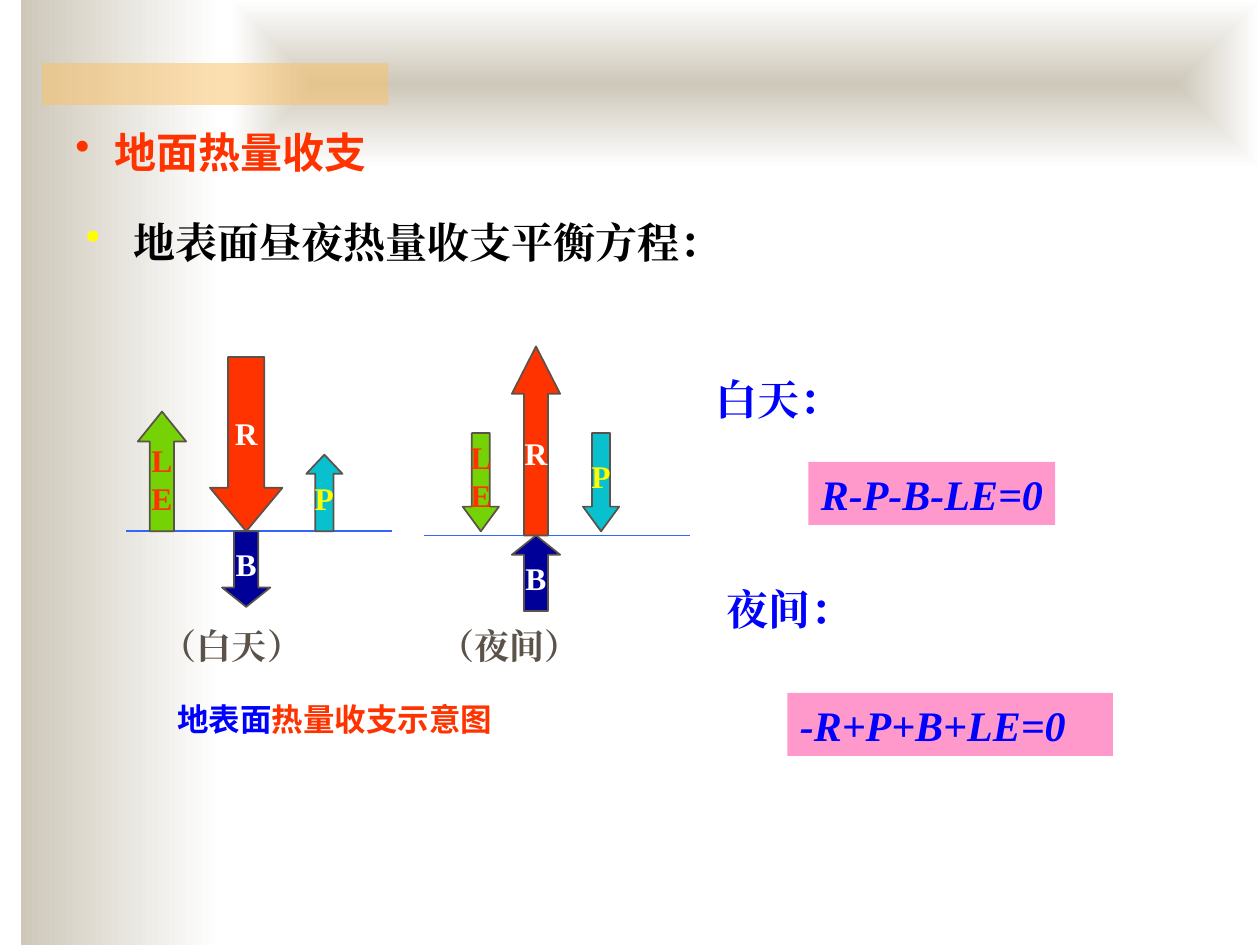
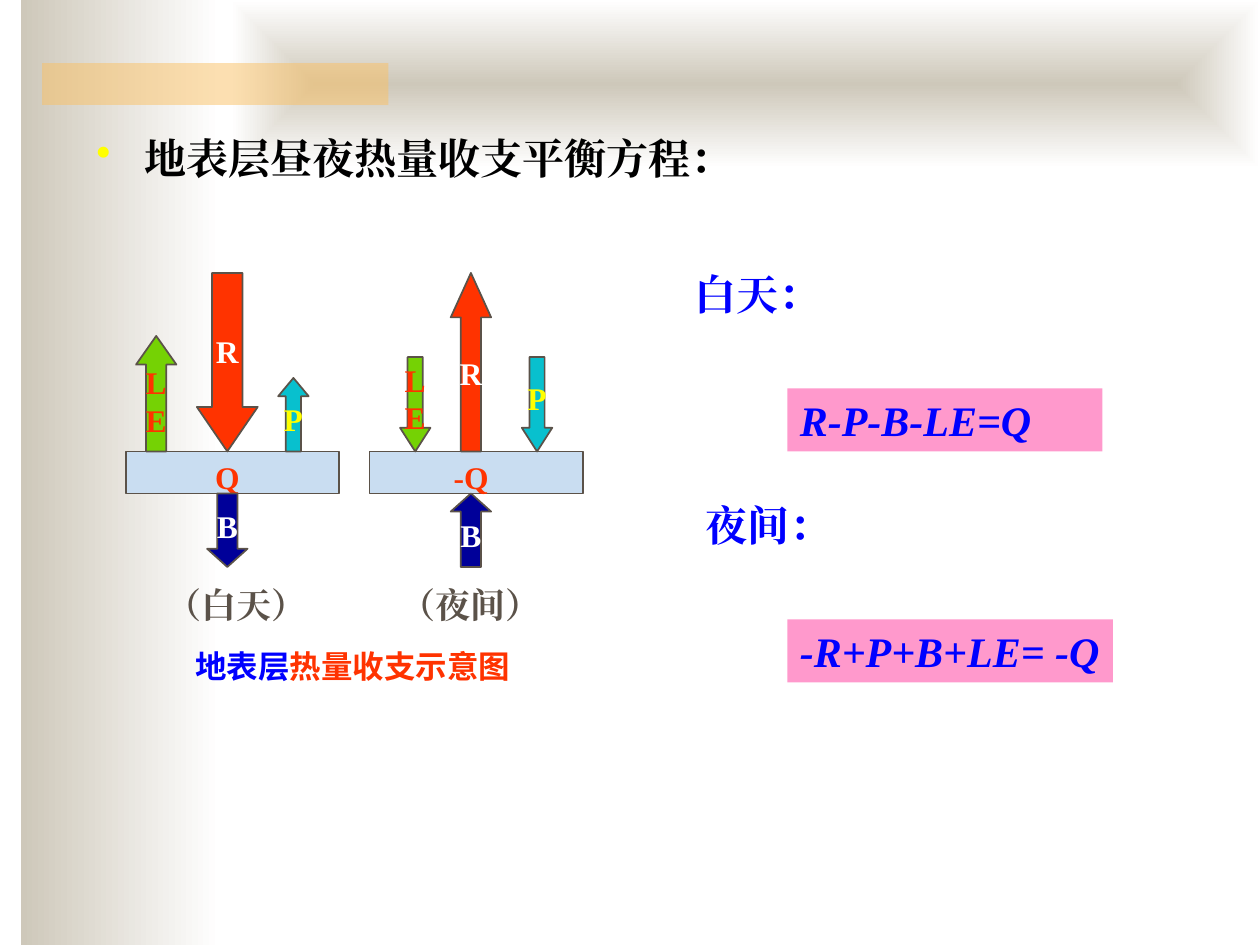
from dataclasses import dataclass

from lxml.etree import SubElement
from pptx import Presentation
from pptx.dml.color import RGBColor as Color
from pptx.enum.shapes import MSO_CONNECTOR as Connector, MSO_SHAPE as Shape
from pptx.enum.text import MSO_ANCHOR as Anchor, PP_ALIGN as Align
from pptx.oxml.ns import qn
from pptx.util import Inches, Pt

COLUMNS = 120
UNIT = Inches(10) / COLUMNS


@dataclass(frozen=True)
class Theme:
    latin: str = "Times New Roman"
    hans: str = "Noto Sans CJK SC"
    body: int = 24
    label: int = 20
    small: int = 18
    sand: str = "CEC8BA"
    amber: str = "FAC164"
    outline: str = "5B5249"
    ground: str = "3366FF"
    layer: str = "C9DDF1"
    red: str = "FF3300"
    green: str = "75D204"
    cyan: str = "08C0CE"
    navy: str = "000099"
    blue: str = "0000FF"
    yellow: str = "FFFF00"
    pink: str = "FF99CC"
    white: str = "FFFFFF"
    black: str = "000000"


THEME = Theme()
FLUXES = {
    "R": (THEME.red, THEME.white),
    "LE": (THEME.green, THEME.red),
    "P": (THEME.cyan, THEME.yellow),
    "B": (THEME.navy, THEME.white),
}


def grid(*cells):
    return [round(cell * UNIT) for cell in cells]


def paint(fill, color):
    fill.solid()
    fill.fore_color.rgb = Color.from_string(color)


def add_panel(page, kind, area, fill=None, line=None):
    panel = page.shapes.add_shape(kind, *grid(*area))
    panel.shadow.inherit = False
    if fill:
        paint(panel.fill, fill)
    if line:
        panel.line.color.rgb = Color.from_string(line)
        panel.line.width = Pt(1)
    else:
        panel.line.fill.background()
    return panel


def write(box, *lines, size=THEME.body, font=THEME.latin, color=THEME.blue, italic=False,
          align=Align.LEFT, anchor=Anchor.TOP, wrap=True, insets=(0.1, 0.05, 0.1, 0.05),
          bullet=None, hang=0, spacing=None):
    frame = box.text_frame
    frame.word_wrap = wrap
    frame.vertical_anchor = anchor
    frame.margin_left, frame.margin_top, frame.margin_right, frame.margin_bottom = map(Inches, insets)
    for index, line in enumerate(lines):
        para = frame.add_paragraph() if index else frame.paragraphs[0]
        para.alignment = align
        if spacing:
            para.line_spacing = spacing
        if bullet:
            add_bullet(para, bullet, hang)
        for words, ink in [(line, color)] if isinstance(line, str) else line:
            span = para.add_run()
            span.text = words
            span.font.size = Pt(size)
            span.font.bold = True
            span.font.italic = italic
            span.font.name = font
            span.font.color.rgb = Color.from_string(ink)
            SubElement(span.font._element, qn("a:ea"), typeface=font)


def add_bullet(para, color, hang):
    props = para._p.get_or_add_pPr()
    props.set("marL", str(Inches(hang)))
    props.set("indent", str(-Inches(hang)))
    SubElement(SubElement(props, qn("a:buClr")), qn("a:srgbClr"), val=color)
    SubElement(props, qn("a:buChar"), char="•")


def add_text(page, area, *lines, **style):
    box = page.shapes.add_textbox(*grid(*area))
    write(box, *lines, **style)


def fade(panel, start, end):
    panel.fill.gradient()
    panel.fill.gradient_angle = 0
    for stop, color, position in zip(panel.fill.gradient_stops, (start, end), (0, 1)):
        stop.color.rgb = Color.from_string(color)
        stop.position = position


def fade_from_center(panel):
    gradient = panel._element.spPr.find(qn("a:gradFill"))
    gradient.remove(gradient.find(qn("a:lin")))
    path = SubElement(gradient, qn("a:path"), path="rect")
    SubElement(path, qn("a:fillToRect"), l="50000", t="50000", r="50000", b="50000")


def decorate(layout, page):
    side = add_panel(page, Shape.RECTANGLE, (2, 0, 19, 90))
    top = add_panel(page, Shape.RECTANGLE, (22, 0, 98, 16))
    for band in (side, top):
        fade(band, THEME.sand, THEME.white)
    fade_from_center(top)
    strip = add_panel(page, Shape.RECTANGLE, (4, 6, 33, 4), THEME.amber)
    tint = next(strip._element.spPr.iter(qn("a:srgbClr")))
    SubElement(tint, qn("a:alpha"), val="50000")
    for band in (side, top, strip):
        layout.shapes._spTree.append(band._element)


def add_flux(page, name, points, center, top, width, height, head):
    fill, ink = FLUXES[name]
    kind = Shape.UP_ARROW if points == "up" else Shape.DOWN_ARROW
    arrow = add_panel(page, kind, (center - width / 2, top, width, height), fill, THEME.outline)
    arrow.adjustments[0] = 0.5
    arrow.adjustments[1] = head
    write(arrow, *name, size=THEME.small, color=ink, align=Align.CENTER,
          anchor=Anchor.MIDDLE, wrap=False)


def add_fluxes(page, fluxes):
    for flux in fluxes:
        add_flux(page, *flux)


def add_ground(page, left, level):
    x1, y, x2 = grid(left, level, left + 25.3)
    line = page.shapes.add_connector(Connector.STRAIGHT, x1, y, x2, y)
    line.line.color.rgb = Color.from_string(THEME.ground)
    line.line.width = Pt(1)
    SubElement(line._element.spPr, qn("a:effectLst"))


def add_layer(page, left, name):
    layer = add_panel(page, Shape.RECTANGLE, (left, 43, 20.3, 4), THEME.layer, THEME.outline)
    write(layer, name, size=THEME.small, color=THEME.red, align=Align.CENTER,
          anchor=Anchor.MIDDLE, insets=(0.1, 0.12, 0.18, 0.05))


def add_captions(page, top, day, night):
    for words, center in (("（白天）", day), ("（夜间）", night)):
        add_text(page, (center - 10, top, 20, 5.3), words, size=THEME.label,
                 color=THEME.outline, align=Align.CENTER)


def add_figure_title(page, center, top, subject):
    add_text(page, (center - 20, top, 40, 4.8),
             [(subject, THEME.blue), ("热量收支示意图", THEME.red)],
             size=THEME.small, font=THEME.hans, align=Align.CENTER)


def add_equation(page, label, label_at, formula, left, top, width):
    add_text(page, (*label_at, 18, 6), label)
    plate = add_panel(page, Shape.RECTANGLE, (left, top, width, 6), THEME.pink)
    write(plate, formula, italic=True, insets=(0.1, 0.05, 0, 0.05))


def add_topic(page, left, top, words):
    add_text(page, (left, top, 75, 6), words, color=THEME.black, bullet=THEME.yellow, hang=0.38)


def build_surface(page):
    add_text(page, (6, 10, 38, 7.4), "地面热量收支", font=THEME.hans, color=THEME.red,
             bullet=THEME.red, hang=0.31, spacing=1.3)
    add_topic(page, 7, 20, "地表面昼夜热量收支平衡方程：")
    add_ground(page, 12, 50.6)
    add_ground(page, 40.4, 51)
    add_fluxes(page, [
        ("R", "down", 23.45, 34, 6.9, 16.6, 0.6),
        ("LE", "up", 15.43, 39.2, 4.6, 11.4, 0.62),
        ("P", "up", 30.9, 43.3, 3.45, 7.3, 0.53),
        ("B", "down", 23.45, 50.6, 4.6, 7.2, 0.4),
        ("R", "up", 51.05, 33, 4.6, 18, 0.98),
        ("LE", "down", 45.8, 41.25, 3.45, 9.35, 0.68),
        ("P", "down", 57.25, 41.25, 3.45, 9.35, 0.68),
        ("B", "up", 51.05, 51, 4.6, 7.2, 0.4),
    ])
    add_captions(page, 58.9, 22.1, 48.5)
    add_figure_title(page, 31.9, 66.1, "地表面")
    add_equation(page, "白天：", (67, 35), "R-P-B-LE=0", 77, 44, 23.5)
    add_equation(page, "夜间：", (68, 55), "-R+P+B+LE=0", 75, 66, 31)


def build_layer(page):
    add_topic(page, 8, 12, "地表层昼夜热量收支平衡方程：")
    add_layer(page, 12, "Q")
    add_layer(page, 35.2, "-Q")
    add_fluxes(page, [
        ("R", "down", 21.65, 26, 5.8, 17, 0.73),
        ("LE", "up", 14.88, 32, 3.85, 11, 0.71),
        ("P", "up", 27.95, 36, 2.9, 7, 0.6),
        ("B", "down", 21.65, 47, 3.85, 7, 0.45),
        ("LE", "down", 39.55, 34, 2.9, 9, 0.78),
        ("R", "up", 44.85, 26, 3.85, 17, 1.1),
        ("P", "down", 51.15, 34, 2.9, 9, 0.78),
        ("B", "up", 44.85, 47, 3.85, 7, 0.45),
    ])
    add_captions(page, 55, 22.5, 44.8)
    add_figure_title(page, 33.6, 61, "地表层")
    add_equation(page, "白天：", (65, 25), "R-P-B-LE=Q", 75, 37, 30)
    add_equation(page, "夜间：", (66, 47), "-R+P+B+LE= -Q", 75, 59, 31)


def main():
    deck = Presentation()
    deck.slide_width, deck.slide_height = Inches(10), Inches(7.5)
    blank = deck.slide_layouts[6]
    surface, layer = (deck.slides.add_slide(blank) for _ in range(2))
    decorate(blank, surface)
    build_surface(surface)
    build_layer(layer)
    deck.save("out.pptx")


if __name__ == "__main__":
    main()
